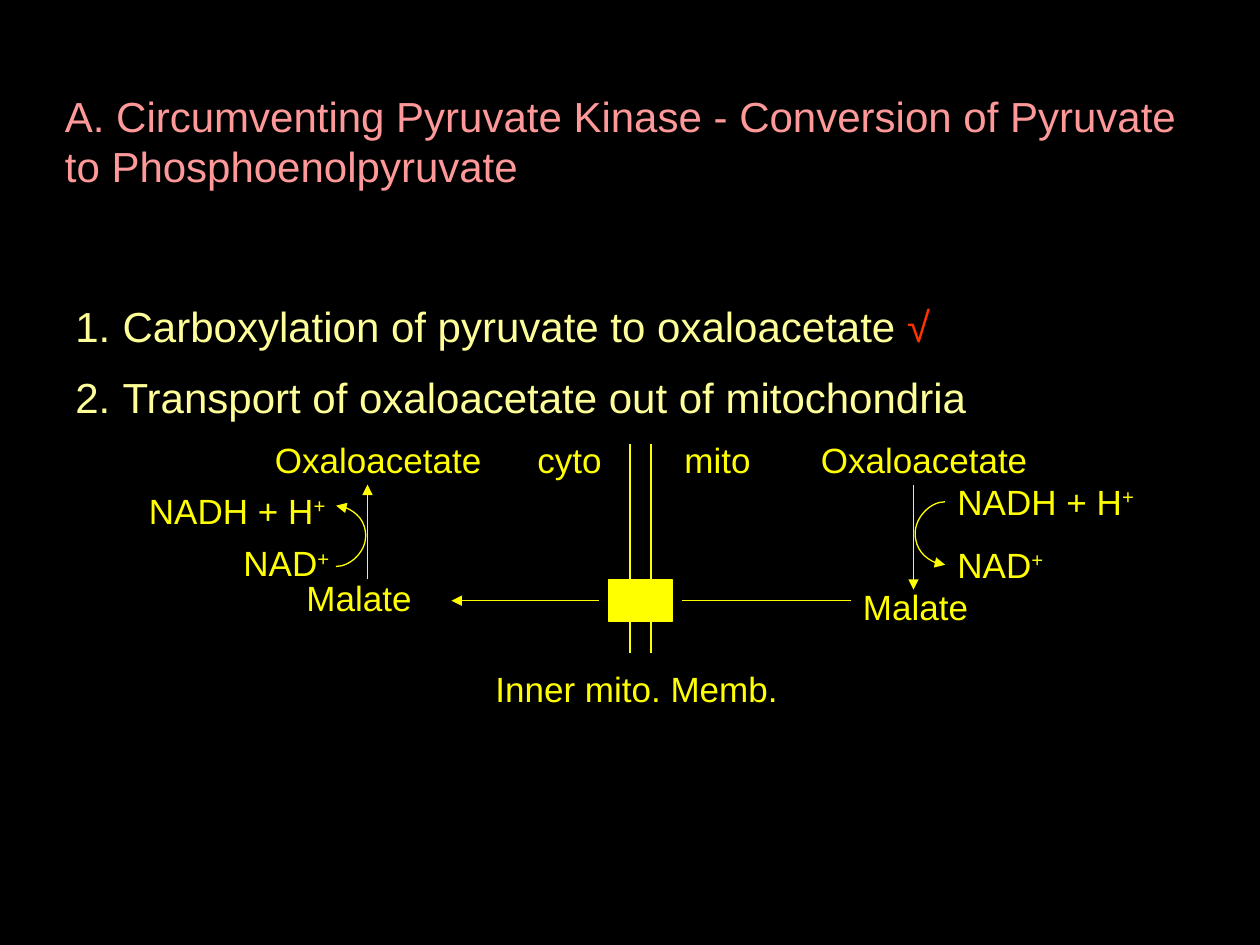
from lxml.etree import SubElement
from pptx import Presentation
from pptx.dml.color import RGBColor
from pptx.enum.shapes import MSO_CONNECTOR, MSO_SHAPE
from pptx.oxml.ns import qn
from pptx.util import Pt

COLORS = {
    "background": "000000",
    "title": "FF9999",
    "list": "FFFF99",
    "check": "FF3300",
    "diagram": "FFFF00",
}
FONT = "Arial"
LABEL_HEIGHT = 31
CURVE_WIDTH = 0.12
CURVE_BULGE = 18

# text, superscript, left, top, width
LABELS = [
    ("mito", "", 384, 247, 54),
    ("cyto", "", 300, 247, 54),
    ("Oxaloacetate", "", 462, 247, 144),
    ("Malate", "", 486, 331, 96),
    ("NADH + H", "+", 540, 271, 132),
    ("NAD", "+", 540, 307, 108),
    ("Malate", "", 168, 326, 85),
    ("Oxaloacetate", "", 150, 247, 144),
    ("NADH + H", "+", 78, 276, 120),
    ("NAD", "+", 132, 306, 66),
    ("Inner mito. Memb.", "", 276, 378, 192),
]

# start x, start y, end x, end y, has arrowhead
LINES = [
    (360, 253.5, 360, 373, False),
    (372, 253.5, 372, 373, False),
    (522, 277, 522, 337, True),
    (486, 343.25, 390, 343.25, False),
    (342, 343.25, 258, 343.25, True),
    (210, 331, 210, 277, True),
]


def color(name):
    return RGBColor.from_string(COLORS[name])


def add_span(para, text, size, color_name):
    span = para.add_run()
    span.text = text
    span.font.name = FONT
    span.font.size = Pt(size)
    span.font.color.rgb = color(color_name)
    return span


def add_text_box(slide, left, top, width, height):
    box = slide.shapes.add_textbox(Pt(left), Pt(top), Pt(width), Pt(height))
    box.text_frame.word_wrap = True
    return box.text_frame


def add_title(slide):
    frame = add_text_box(slide, 30, 48, 658, 65)
    para = frame.paragraphs[0]
    para.space_before = Pt(12)
    add_span(para, "A. Circumventing Pyruvate Kinase - Conversion of Pyruvate "
             "to Phosphoenolpyruvate", 24, "title")


def number_paragraph(para):
    """Give the paragraph an automatic number with a hanging indent."""
    properties = para._p.get_or_add_pPr()
    properties.set("marL", str(Pt(27)))
    properties.set("indent", str(-Pt(27)))
    SubElement(properties, qn("a:buFont"), typeface=FONT)
    SubElement(properties, qn("a:buAutoNum"), type="arabicPeriod")


def add_steps(slide):
    frame = add_text_box(slide, 36, 168, 648, 79)
    first, second = frame.paragraphs[0], frame.add_paragraph()
    for para in (first, second):
        para.space_before = Pt(12)
        number_paragraph(para)
    add_span(first, "Carboxylation of pyruvate to oxaloacetate ", 24, "list")
    add_span(first, "√", 24, "check")
    add_span(second, "Transport of oxaloacetate out of mitochondria", 24, "list")


def add_label(slide, text, superscript, left, top, width):
    frame = add_text_box(slide, left, top, width, LABEL_HEIGHT)
    para = frame.paragraphs[0]
    para.space_before = Pt(10)
    add_span(para, text, 20, "diagram")
    if superscript:
        span = add_span(para, superscript, 20, "diagram")
        span.font._element.set("baseline", "30000")


def add_line(slide, x1, y1, x2, y2, arrow, kind=MSO_CONNECTOR.STRAIGHT):
    line = slide.shapes.add_connector(kind, Pt(x1), Pt(y1), Pt(x2), Pt(y2))
    line.line.color.rgb = color("diagram")
    line.line.width = Pt(0.75)
    if arrow:
        SubElement(line.line._get_or_add_ln(), qn("a:tailEnd"), type="triangle")
    SubElement(line._element.spPr, qn("a:effectLst"))
    return line


def add_curve(slide, x, y1, y2, side):
    """Draw a curved arrow that bulges left (side -1) or right (side 1)."""
    curve = add_line(slide, x, y1, x + CURVE_WIDTH, y2, True, MSO_CONNECTOR.CURVE)
    bend = round(side * CURVE_BULGE / CURVE_WIDTH * 100000)
    adjustments = curve._element.spPr.find(qn("a:prstGeom")).get_or_add_avLst()
    SubElement(adjustments, qn("a:gd"), name="adj1", fmla=f"val {bend}")


def add_transporter(slide):
    shape = slide.shapes.add_shape(
        MSO_SHAPE.RECTANGLE, Pt(348), Pt(331), Pt(36), Pt(24))
    shape.shadow.inherit = False
    shape.fill.solid()
    shape.fill.fore_color.rgb = color("diagram")
    shape.line.color.rgb = color("diagram")
    shape.line.width = Pt(0.75)


def main():
    deck = Presentation()
    deck.slide_width, deck.slide_height = Pt(720), Pt(540)
    slide = deck.slides.add_slide(deck.slide_layouts[6])
    slide.background.fill.solid()
    slide.background.fill.fore_color.rgb = color("background")

    add_title(slide)
    add_steps(slide)
    for line in LINES:
        add_line(slide, *line)
    add_transporter(slide)
    for label in LABELS:
        add_label(slide, *label)
    add_curve(slide, 540, 286.75, 322.75, -1)
    add_curve(slide, 192, 323.75, 289, 1)
    deck.save("out.pptx")


if __name__ == "__main__":
    main()
